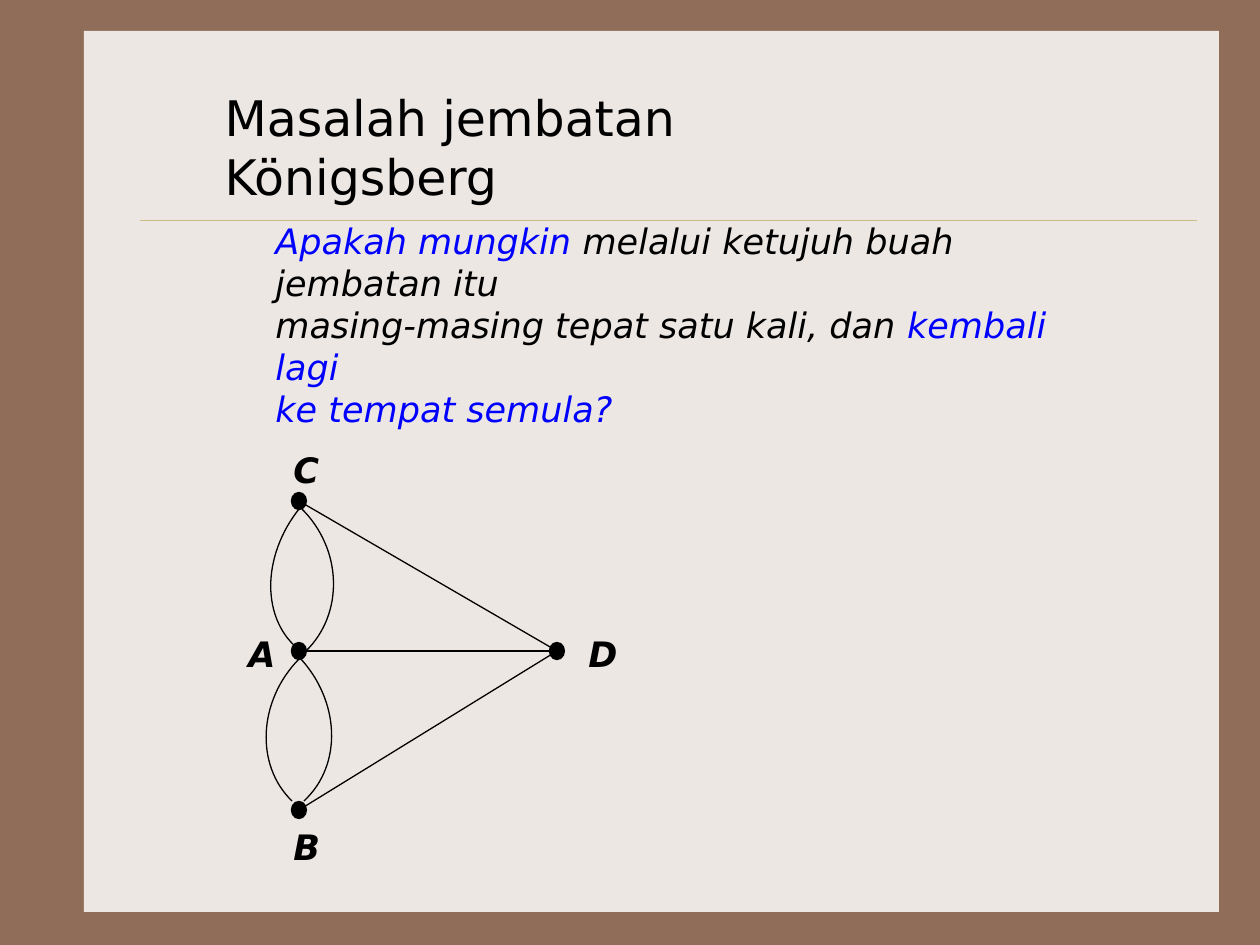
from dataclasses import dataclass

from lxml import etree
from pptx import Presentation
from pptx import util as u
from pptx.dml.color import RGBColor
from pptx.enum import shapes, text
from pptx.oxml import ns

SCALE = 914400 / 126
FONT = "DejaVu Sans"
BLACK, BLUE, BROWN, CREAM, GOLD = "000000", "0000FF", "906D58", "EDE7E3", "CBBD83"
CURVE_STEPS = 32
Point = tuple[int, int]


@dataclass(frozen=True)
class Run:
    wording: str
    size: int = 20
    color: str = BLACK
    bold: bool = False
    italic: bool = True


@dataclass(frozen=True)
class Vertex:
    name: str
    center: Point
    label: Point


@dataclass(frozen=True)
class Bridge:
    start: Point
    control_1: Point
    control_2: Point
    end: Point


VERTICES = [
    Vertex("A", (299, 651), (236, 626)),
    Vertex("B", (299, 810), (281, 819)),
    Vertex("C", (299, 501), (281, 442)),
    Vertex("D", (557, 651), (576, 626)),
]
BRIDGES = [
    Bridge((301, 508), (343, 549), (344, 614), (306, 651)),
    Bridge((300, 658), (340, 701), (343, 765), (304, 801)),
    Bridge((297, 648), (260, 616), (262, 551), (304, 503)),
    Bridge((292, 801), (255, 765), (258, 701), (299, 659)),
]
QUESTION = [
    [Run("Apakah mungkin", color=BLUE), Run(" melalui ketujuh buah jembatan itu")],
    [Run("masing-masing tepat satu kali, dan "), Run("kembali lagi", color=BLUE)],
    [Run("ke tempat semula?", color=BLUE)],
]


def px(length: float) -> u.Emu:
    return u.Emu(round(length * SCALE))


def rgb(color: str) -> RGBColor:
    return RGBColor.from_string(color)


def write(frame, paragraphs: list[list[Run]], wrap: bool = True) -> None:
    frame.word_wrap = wrap
    frame.auto_size = text.MSO_AUTO_SIZE.NONE
    frame.vertical_anchor = text.MSO_ANCHOR.TOP
    for index, runs in enumerate(paragraphs):
        paragraph = frame.add_paragraph() if index else frame.paragraphs[0]
        paragraph.alignment = text.PP_ALIGN.LEFT
        for item in runs:
            run = paragraph.add_run()
            run.text = item.wording
            run.font.name = FONT
            run.font.size = u.Pt(item.size)
            run.font.bold = item.bold
            run.font.italic = item.italic
            run.font.color.rgb = rgb(item.color)


def add_text(slide, left: int, top: int, width: int, height: int,
             paragraphs: list[list[Run]], wrap: bool = True) -> None:
    box = slide.shapes.add_textbox(px(left), px(top), px(width), px(height))
    write(box.text_frame, paragraphs, wrap)


def add_filled(slide, kind, left: float, top: float, width: int, height: int, color: str):
    shape = slide.shapes.add_shape(kind, px(left), px(top), px(width), px(height))
    shape.shadow.inherit = False
    shape.fill.solid()
    shape.fill.fore_color.rgb = rgb(color)
    shape.line.fill.background()
    return shape


def add_line(slide, start: Point, end: Point, color: str = BLACK, weight: float = 0.75) -> None:
    line = slide.shapes.add_connector(
        shapes.MSO_CONNECTOR.STRAIGHT, *map(px, start), *map(px, end))
    line.line.color.rgb = rgb(color)
    line.line.width = u.Pt(weight)
    etree.SubElement(line._element.spPr, ns.qn("a:effectLst"))


def curve_point(bridge: Bridge, t: float) -> tuple[u.Emu, u.Emu]:
    s = 1 - t
    weights = (s ** 3, 3 * s * s * t, 3 * s * t * t, t ** 3)
    points = (bridge.start, bridge.control_1, bridge.control_2, bridge.end)
    x, y = (px(sum(w * p[axis] for w, p in zip(weights, points))) for axis in (0, 1))
    return x, y


def add_bridge(slide, bridge: Bridge) -> None:
    points = [curve_point(bridge, step / CURVE_STEPS) for step in range(CURVE_STEPS + 1)]
    builder = slide.shapes.build_freeform(*points[0])
    builder.add_line_segments(points[1:], close=False)
    shape = builder.convert_to_shape()
    shape.shadow.inherit = False
    shape.fill.background()
    shape.line.color.rgb = rgb(BLACK)
    shape.line.width = u.Pt(0.75)


def add_vertex(slide, vertex: Vertex) -> None:
    width, height = 15, 17
    x, y = vertex.center
    dot = add_filled(slide, shapes.MSO_SHAPE.OVAL,
                     x - width / 2, y - height / 2, width, height, BLACK)
    dot.line.color.rgb = rgb(BLACK)
    dot.line.width = u.Pt(0.75)
    add_text(slide, *vertex.label, 48, 55, [[Run(vertex.name, bold=True)]], wrap=False)


def main() -> None:
    presentation = Presentation()
    presentation.slide_width, presentation.slide_height = px(1260), px(945)
    slide = presentation.slides.add_slide(presentation.slide_layouts[5])
    slide.background.fill.solid()
    slide.background.fill.fore_color.rgb = rgb(BROWN)

    add_filled(slide, shapes.MSO_SHAPE.RECTANGLE, 84, 31, 1135, 881, CREAM)
    add_line(slide, (140, 220), (1197, 220), GOLD, 0.25)

    for bridge in BRIDGES:
        add_bridge(slide, bridge)
    hub = next(vertex for vertex in VERTICES if vertex.name == "D")
    for vertex in VERTICES:
        if vertex is not hub:
            add_line(slide, hub.center, vertex.center)
    for vertex in VERTICES:
        add_vertex(slide, vertex)

    title = slide.shapes.title
    title.left, title.top, title.width, title.height = map(px, (212, 81, 727, 132))
    write(title.text_frame, [[Run("Masalah jembatan Königsberg", size=28, italic=False)]])
    slide.shapes._spTree.append(title._element)
    add_text(slide, 263, 213, 848, 222, QUESTION)

    presentation.save("out.pptx")


if __name__ == "__main__":
    main()
